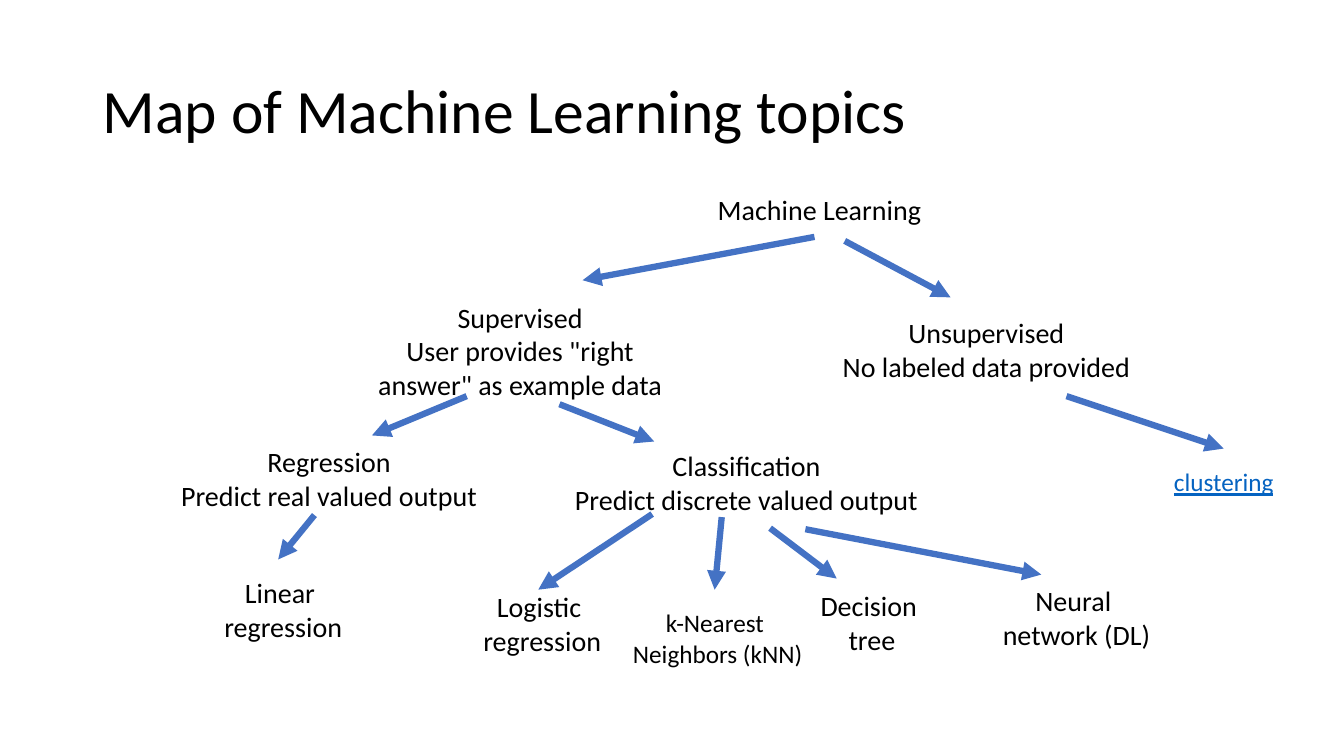
import pptx
import pptx.dml.color
import pptx.enum.shapes
import pptx.enum.text
import pptx.oxml
import pptx.oxml.ns
import pptx.util

BLACK = pptx.dml.color.RGBColor(0x00, 0x00, 0x00)
ARROW_BLUE = pptx.dml.color.RGBColor(0x44, 0x72, 0xC4)
LINK_BLUE = pptx.dml.color.RGBColor(0x05, 0x63, 0xC1)
FONT = "Calibri"
CELL = pptx.util.Inches(0.1)
SLIDE_COLUMNS, SLIDE_ROWS = 133.33, 75
TOPIC_COLUMNS = 30

# Each topic: lines, centre column, top row, then any options of add_topic.
TOPICS = [
    (["Machine Learning"], 81.3, 18.6, {}),
    (["Supervised", 'User provides "right answer" as example data'],
     51.6, 29.3, {"columns": 32.2, "line_count": 3}),
    (["Unsupervised", "No labeled data provided"], 97.85, 30.8, {"columns": 33.9}),
    (["Regression", "Predict real valued output"], 32.65, 43.6, {"columns": 34.7}),
    (["Classification", "Predict discrete valued output"], 74.05, 44, {"columns": 37.5}),
    (["Linear ", "regression"], 28.1, 56.6, {}),
    (["Logistic ", "regression"], 53.8, 58, {}),
    (["k-Nearest ", "Neighbors (kNN)"], 71.2, 59.8, {"size": 18}),
    (["Decision ", "tree"], 86.5, 57.9, {}),
    (["Neural ", "network (DL)"], 106.8, 57.4, {}),
    (["clustering"], 121.4, 45.8, {"size": 18, "color": LINK_BLUE, "underline": True}),
]

# Each branch: start column and row, end column and row.
BRANCHES = [
    (80.8, 23.5, 57.8, 27.8),
    (83.8, 23.9, 94.3, 29.5),
    (46.3, 39.3, 36.9, 43.2),
    (55.5, 40.1, 64.9, 43.8),
    (105.8, 39.3, 121.4, 44.5),
    (31.2, 51.1, 27.6, 55.5),
    (64.7, 51, 53.4, 58.5),
    (71.6, 51.3, 70.9, 58.5),
    (76.4, 52.4, 83, 57.4),
    (79.9, 52.5, 103.3, 57),
]


def cells(count):
    """Convert a count of grid cells to a length."""
    return pptx.util.Emu(round(count * CELL))


def add_text(slide, lines, left, top, columns, rows, size, color=BLACK):
    """Add a wrapping text box with one paragraph per line and return its frame."""
    box = slide.shapes.add_textbox(*map(cells, (left, top, columns, rows)))
    frame = box.text_frame
    frame.word_wrap = True
    frame.text = "\n".join(lines)
    for paragraph in frame.paragraphs:
        paragraph.font.name = FONT
        paragraph.font.size = pptx.util.Pt(size)
        paragraph.font.color.rgb = color
    return frame


def add_title(slide, title):
    """Add the slide title, centred vertically in its band."""
    frame = add_text(slide, [title], 9.2, 4, 115, 14.5, 44)
    frame.vertical_anchor = pptx.enum.text.MSO_ANCHOR.MIDDLE
    frame.paragraphs[0].line_spacing = 0.9


def add_topic(slide, lines, center, top, columns=TOPIC_COLUMNS, size=20,
              line_count=None, color=BLACK, underline=False):
    """Add a centred topic whose height follows from its number of lines."""
    rows = 1 + (line_count or len(lines)) * size / 6
    frame = add_text(slide, lines, center - columns / 2, top, columns, rows, size, color)
    frame.auto_size = pptx.enum.text.MSO_AUTO_SIZE.SHAPE_TO_FIT_TEXT
    for paragraph in frame.paragraphs:
        paragraph.alignment = pptx.enum.text.PP_ALIGN.CENTER
        if underline:
            paragraph.font.underline = True


def add_branch(slide, *ends):
    """Add a straight arrow from a topic to one of its subtopics."""
    branch = slide.shapes.add_connector(
        pptx.enum.shapes.MSO_CONNECTOR.STRAIGHT, *map(cells, ends))
    branch.line.color.rgb = ARROW_BLUE
    branch.line.width = pptx.util.Pt(4.5)
    arrowhead = pptx.oxml.parse_xml(
        f'<a:tailEnd {pptx.oxml.ns.nsdecls("a")} type="triangle"/>')
    branch.line._get_or_add_ln().append(arrowhead)
    no_shadow = pptx.oxml.parse_xml(f'<a:effectLst {pptx.oxml.ns.nsdecls("a")}/>')
    branch._element.spPr.append(no_shadow)


def main():
    """Build the map of topics and save it."""
    presentation = pptx.Presentation()
    presentation.slide_width = cells(SLIDE_COLUMNS)
    presentation.slide_height = cells(SLIDE_ROWS)
    slide = presentation.slides.add_slide(presentation.slide_layouts[6])
    add_title(slide, "Map of Machine Learning topics")
    for lines, center, top, options in TOPICS:
        add_topic(slide, lines, center, top, **options)
    for ends in BRANCHES:
        add_branch(slide, *ends)
    presentation.save("out.pptx")


main()
